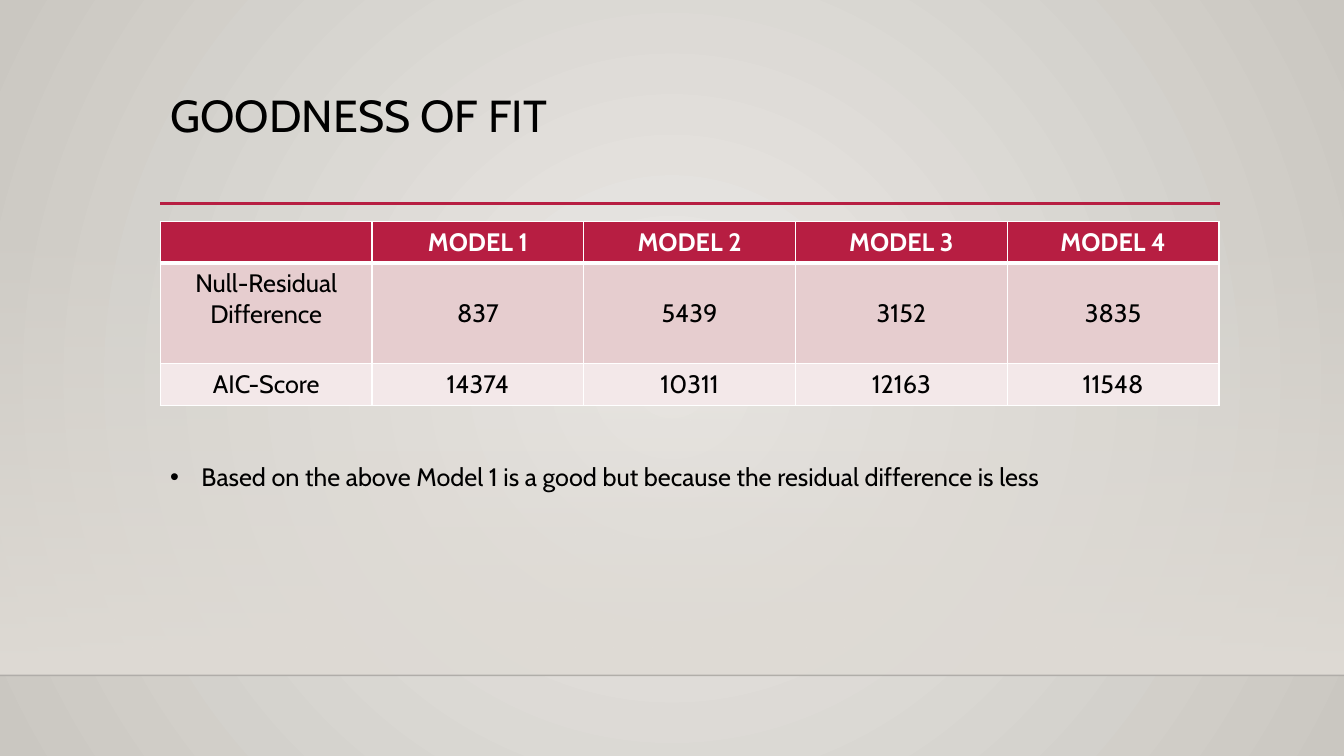
import pptx
import pptx.dml.color
import pptx.enum.shapes
import pptx.enum.text
import pptx.oxml
import pptx.oxml.ns
import pptx.util
from lxml import etree

WIDTH, HEIGHT = 13.33, 7.5
LEFT, CONTENT_WIDTH = 1.59, 10.5
FONT = "Cabin"
RED, WHITE, BLACK = "B71E42", "FFFFFF", "000000"
ROW_FILLS = [RED, "E6CDCF", "F3E8E9"]
ROW_HEIGHTS = [0.41, 1.0, 0.41]
ROWS = [
    ["", "MODEL 1", "MODEL 2", "MODEL 3", "MODEL 4"],
    ["Null-Residual Difference", "837", "5439", "3152", "3835"],
    ["AIC-Score", "14374", "10311", "12163", "11548"],
]
CENTRED = pptx.enum.text.PP_ALIGN.CENTER
TOP = pptx.enum.text.MSO_ANCHOR.TOP
MIDDLE = pptx.enum.text.MSO_ANCHOR.MIDDLE
qn = pptx.oxml.ns.qn


def color(hex_string):
    return pptx.dml.color.RGBColor.from_string(hex_string)


def inches(*lengths):
    return [pptx.util.Inches(length) for length in lengths]


def add_color(parent, hex_string, alpha=100):
    """Append a solid colour element, with its opacity in percent."""
    element = etree.SubElement(parent, qn("a:srgbClr"), val=hex_string)
    if alpha < 100:
        etree.SubElement(element, qn("a:alpha"), val=str(alpha * 1000))


def set_gradient(owner, fill, stops, circular=False):
    """Fill with (position, colour, opacity) stops, downwards or from the centre."""
    fill.gradient()
    gradient = owner.element.find(".//" + qn("a:gradFill"))
    for child in list(gradient):
        gradient.remove(child)
    stop_list = etree.SubElement(gradient, qn("a:gsLst"))
    for position, hex_string, alpha in stops:
        stop = etree.SubElement(stop_list, qn("a:gs"), pos=str(position * 1000))
        add_color(stop, hex_string, alpha)
    if circular:
        direction = etree.SubElement(gradient, qn("a:path"), {"path": "circle"})
        etree.SubElement(direction, qn("a:fillToRect"), l="50000", t="50000", r="50000", b="50000")
    else:
        etree.SubElement(gradient, qn("a:lin"), ang="5400000", scaled="0")


def write_text(frame, text, size=18, font_color=BLACK, bold=False, align=None,
               spacing=None, bullet_indent=None):
    paragraph = frame.paragraphs[0]
    if bullet_indent:
        properties = paragraph._p.get_or_add_pPr()
        indent = pptx.util.Inches(bullet_indent)
        properties.set("marL", str(indent))
        properties.set("indent", str(-indent))
        etree.SubElement(properties, qn("a:buFont"), typeface="Arial")
        etree.SubElement(properties, qn("a:buChar"), char="•")
    paragraph.alignment = align
    paragraph.line_spacing = spacing
    run = paragraph.add_run()
    run.text = text
    run.font.name = FONT
    run.font.size = pptx.util.Pt(size)
    run.font.bold = bold
    run.font.color.rgb = color(font_color)


def add_text(slide, box, text, **text_format):
    frame = slide.shapes.add_textbox(*inches(*box)).text_frame
    frame.word_wrap = True
    frame.vertical_anchor = TOP
    write_text(frame, text, **text_format)


def add_rule(slide, left, right, y, hex_string, width, alpha=100):
    rule = slide.shapes.add_connector(
        pptx.enum.shapes.MSO_CONNECTOR.STRAIGHT, *inches(left, y, right, y))
    rule.line.width = pptx.util.Pt(width)
    rule.line.color.rgb = color(hex_string)
    solid = rule.element.spPr.find(".//" + qn("a:solidFill"))
    solid.clear()
    add_color(solid, hex_string, alpha)
    etree.SubElement(rule.element.spPr, qn("a:effectLst"))


def add_backdrop(slide, floor):
    set_gradient(slide, slide.background.fill,
                 [(0, "ECEAE7", 100), (100, "CAC7C1", 100)], circular=True)
    band_top = 2.21
    band = slide.shapes.add_shape(
        pptx.enum.shapes.MSO_SHAPE.RECTANGLE, *inches(0, band_top, WIDTH, floor - band_top))
    band.shadow.inherit = False
    band.line.fill.background()
    set_gradient(band, band.fill, [(0, "DFDBD5", 0), (100, "DFDBD5", 100)])
    add_rule(slide, 0, WIDTH, floor, "000001", 1, alpha=20)


def set_borders(cell, widths):
    """Draw white borders, given as points by side: L, R, T, B."""
    properties = cell._tc.get_or_add_tcPr()
    for index, (side, width) in enumerate(widths.items()):
        border = pptx.oxml.parse_xml(
            f'<a:ln{side} {pptx.oxml.ns.nsdecls("a")} w="{pptx.util.Pt(width)}"><a:solidFill/></a:ln{side}>')
        add_color(border[0], WHITE)
        properties.insert(index, border)


def add_score_table(slide, left, top, width):
    columns = len(ROWS[0])
    table = slide.shapes.add_table(
        len(ROWS), columns, *inches(left, top, width, sum(ROW_HEIGHTS))).table
    for column in table.columns:
        column.width = pptx.util.Inches(width / columns)
    for row_index, texts in enumerate(ROWS):
        header = row_index == 0
        table.rows[row_index].height = pptx.util.Inches(ROW_HEIGHTS[row_index])
        for column_index, text in enumerate(texts):
            cell = table.cell(row_index, column_index)
            cell.fill.solid()
            cell.fill.fore_color.rgb = color(ROW_FILLS[row_index])
            cell.vertical_anchor = TOP if (row_index, column_index) == (1, 0) else MIDDLE
            set_borders(cell, {"L": 1, "R": 1, "T": 3 if row_index == 1 else 1,
                               "B": 3 if header else 1})
            write_text(cell.text_frame, text, bold=header, align=CENTRED,
                       font_color=WHITE if header else BLACK)


def build_fit_slide(slide):
    add_backdrop(slide, floor=6.7)
    add_rule(slide, LEFT, 12.1, 2.02, RED, 2.5)
    add_text(slide, (LEFT, 0.88, CONTENT_WIDTH, 1.15), "GOODNESS OF FIT", size=32, spacing=0.9)
    add_score_table(slide, LEFT, 2.2, CONTENT_WIDTH)
    add_text(slide, (LEFT, 4.53, CONTENT_WIDTH, 0.4),
             "Based on the above Model 1 is a good but because the residual difference is less",
             bullet_indent=0.31)


def main():
    presentation = pptx.Presentation()
    presentation.slide_width, presentation.slide_height = inches(WIDTH, HEIGHT)
    build_fit_slide(presentation.slides.add_slide(presentation.slide_layouts[6]))
    presentation.save("out.pptx")


if __name__ == "__main__":
    main()
